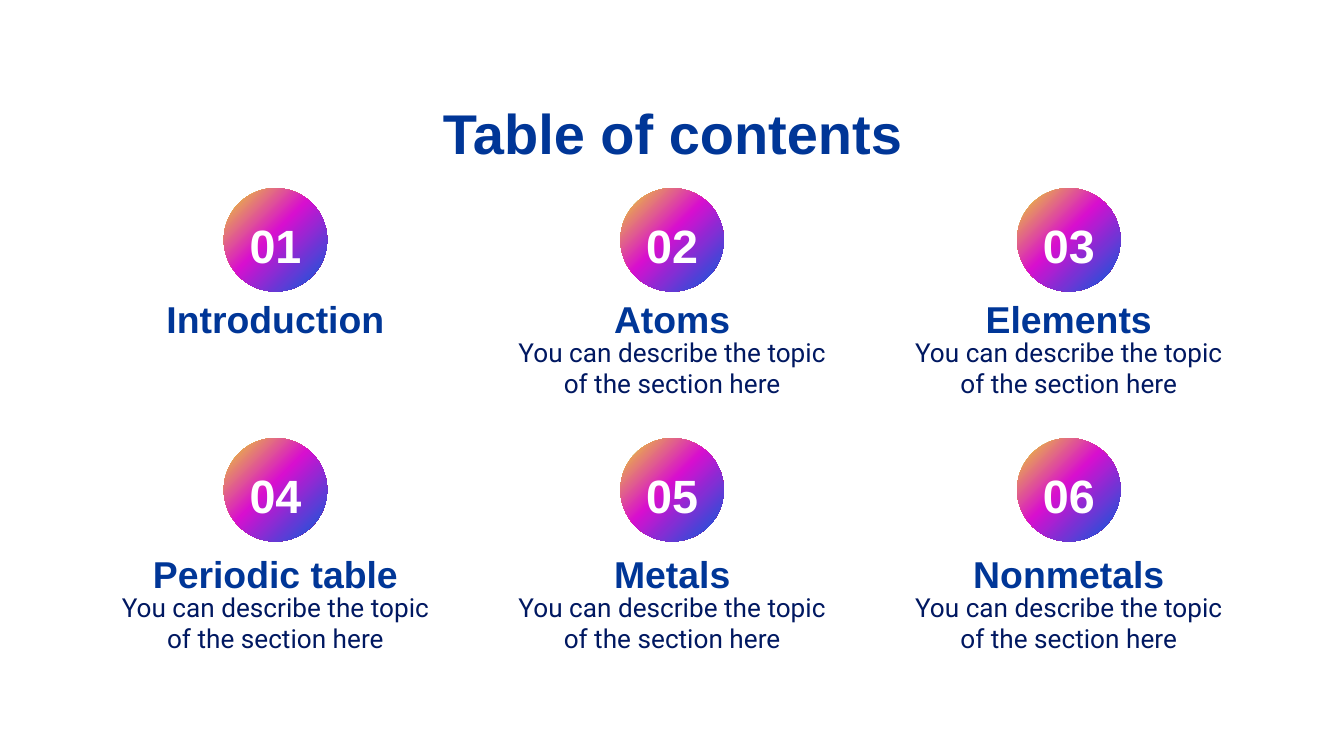
from lxml import etree
from pptx import Presentation
from pptx.dml.color import RGBColor
from pptx.enum.shapes import MSO_SHAPE as Shape
from pptx.enum.text import MSO_ANCHOR as Anchor, PP_ALIGN as Align
from pptx.oxml.ns import qn
from pptx.util import Pt

COLORS = {"heading": "003697", "body": "001861", "number": "FFFFFF"}
BADGE_STOPS = [(0, "EEDB28"), (46, "D80FCF"), (100, "005FDB")]

INSET = 7.2
HEADING_DROP = 0.11  # headings sit lower by this share of their size
DESCRIPTION = "You can describe the topic of the section here"
TOPICS = [
    ("Introduction", ""), ("Atoms", DESCRIPTION), ("Elements", DESCRIPTION),
    ("Periodic table", DESCRIPTION), ("Metals", DESCRIPTION), ("Nonmetals", DESCRIPTION),
]
COLUMNS = 3
GRID_LEFT, COLUMN_PITCH, CELL_WIDTH = 56.9, 212.5, 181.4
ROWS = [(100.8, 48.2), (234.7, 51.1)]  # top of row, drop to its heading
BADGE_SIZE = 55.4


def add_text(slide, box, text, size, color, font="Arial", bold=True, drop=0, anchor=Anchor.TOP):
    frame = slide.shapes.add_textbox(*map(Pt, box)).text_frame
    frame.word_wrap = True
    frame.vertical_anchor = anchor
    frame.margin_left = frame.margin_right = Pt(INSET)
    frame.margin_top, frame.margin_bottom = Pt(INSET + drop), Pt(INSET - drop)
    paragraph = frame.paragraphs[0]
    paragraph.alignment = Align.CENTER
    run = paragraph.add_run()
    run.text = text
    run.font.name, run.font.size, run.font.bold = font, Pt(size), bold
    run.font.color.rgb = RGBColor.from_string(COLORS[color])


def add_heading(slide, box, text, size, color="heading", anchor=Anchor.TOP):
    add_text(slide, box, text, size, color, drop=size * HEADING_DROP, anchor=anchor)


def add_badge(slide, left, top, number):
    # Gradient circle
    circle = slide.shapes.add_shape(Shape.OVAL, Pt(left), Pt(top), Pt(BADGE_SIZE), Pt(BADGE_SIZE))
    circle.shadow.inherit = False
    circle.line.fill.background()
    circle.fill.gradient()
    circle.fill.gradient_angle = 315
    stops = circle._element.spPr.find(qn("a:gradFill")).find(qn("a:gsLst"))
    for stop in list(stops):
        stops.remove(stop)
    for percent, color in BADGE_STOPS:
        stop = etree.SubElement(stops, qn("a:gs"), pos=str(percent * 1000))
        etree.SubElement(stop, qn("a:srgbClr"), val=color)

    # Section number
    width, height = 48.2, 34.6
    box = (left + (BADGE_SIZE - width) / 2, top + (BADGE_SIZE - height) / 2, width, height)
    add_heading(slide, box, number, 25, "number", Anchor.MIDDLE)


def add_topic(slide, left, top, heading_drop, number, title, description):
    add_badge(slide, left + (CELL_WIDTH - BADGE_SIZE) / 2, top, number)
    heading_top = top + heading_drop
    add_heading(slide, (left, heading_top, CELL_WIDTH, 41.8), title, 20)
    if description:
        box = (left, heading_top + 23.8, CELL_WIDTH, 38.2)
        add_text(slide, box, description, 14, "body", font="Roboto", bold=False)


def add_contents(slide):
    add_heading(slide, (GRID_LEFT, 42.5, 607, 45.4), "Table of contents", 30)
    for index, (title, description) in enumerate(TOPICS):
        row, column = divmod(index, COLUMNS)
        top, heading_drop = ROWS[row]
        left = GRID_LEFT + column * COLUMN_PITCH
        add_topic(slide, left, top, heading_drop, f"{index + 1:02}", title, description)


def main():
    deck = Presentation()
    deck.slide_width, deck.slide_height = Pt(720), Pt(405)
    add_contents(deck.slides.add_slide(deck.slide_layouts[6]))
    deck.save("out.pptx")


if __name__ == "__main__":
    main()
